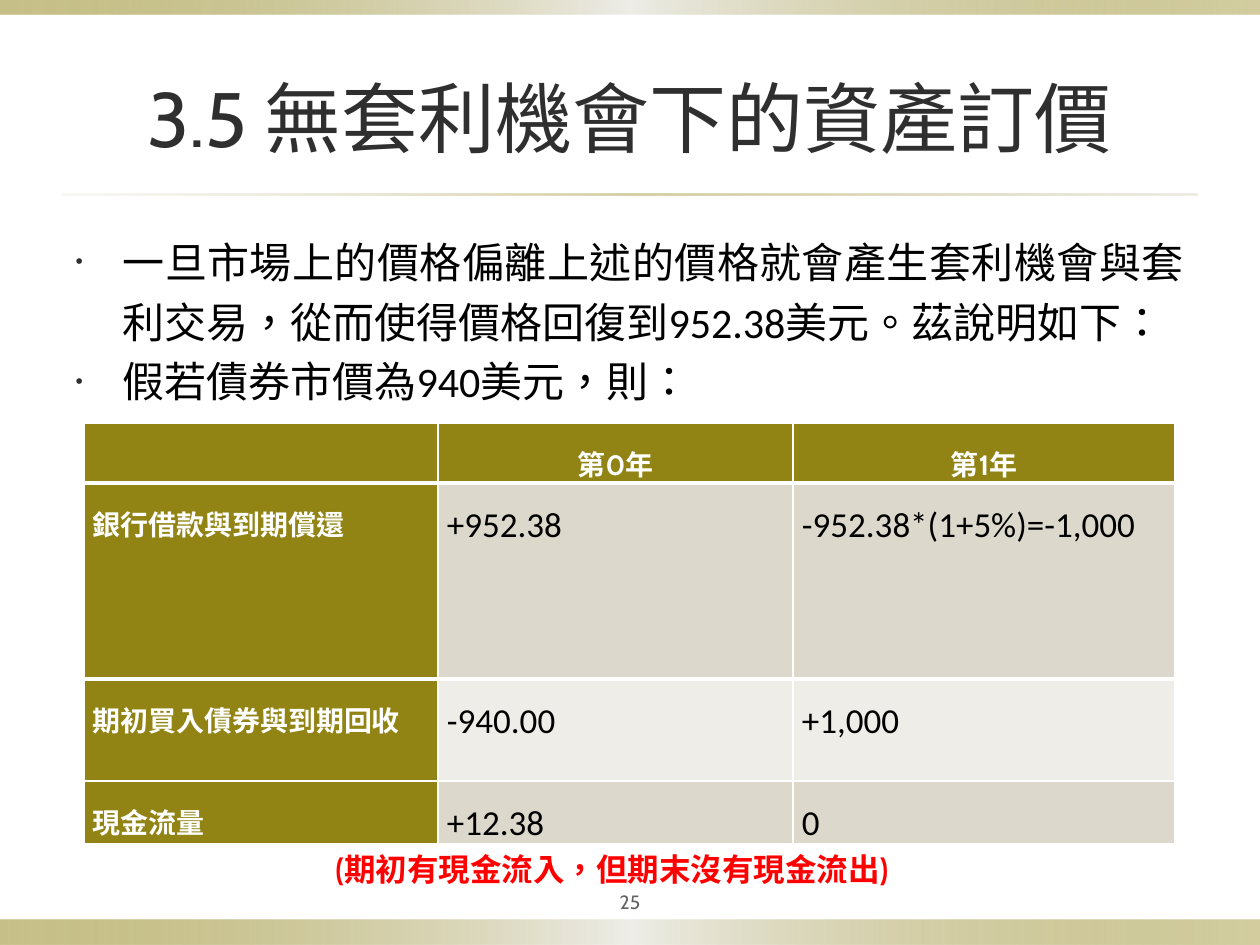
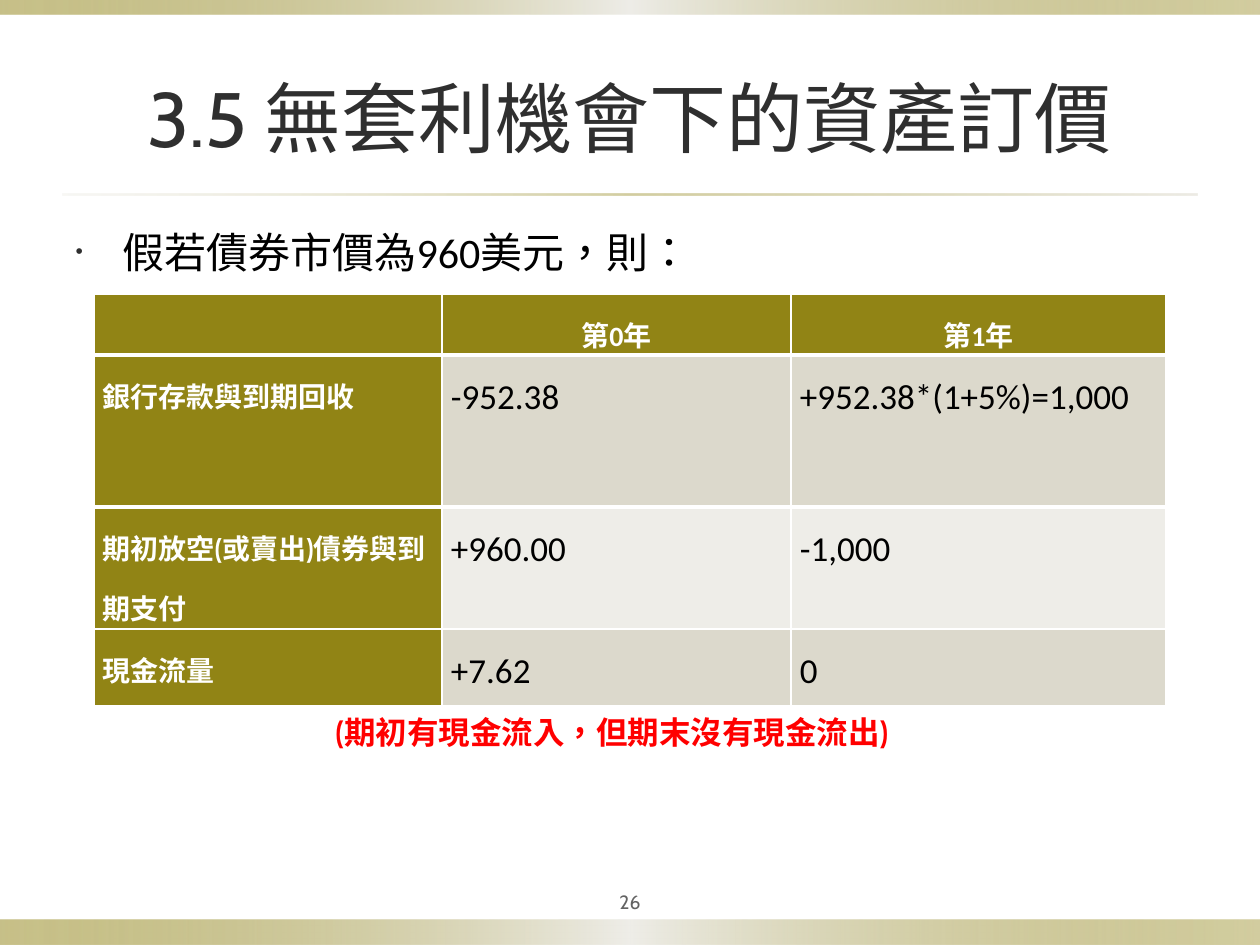
from lxml.etree import SubElement
from pptx import Presentation
from pptx.dml.color import RGBColor
from pptx.enum.shapes import MSO_SHAPE
from pptx.enum.text import MSO_ANCHOR, MSO_AUTO_SIZE, PP_ALIGN
from pptx.oxml import parse_xml
from pptx.oxml.ns import nsdecls, qn
from pptx.util import Emu, Pt

OLIVE, SAND, PALE, WHITE = "918415", "DCD9CC", "EEEDE8", "FFFFFF"
BLACK, CHARCOAL, GREY, RED = "000000", "2F2F2F", "636363", "FF0000"
HEADING_FONT, BODY_FONT = "Cabin", "Calibri"
LANGUAGE = "zh-TW"

TITLE = "3.5 無套利機會下的資產訂價"
CAPTION = "(期初有現金流入，但期末沒有現金流出)"
BAND_STOPS = [(0, OLIVE, 50), (50, PALE, 100), (100, OLIVE, 40)]
RULE_STOPS = [(0, SAND, 20), (50, OLIVE, 40), (100, SAND, 50)]
DECORATIONS = [
    ((0, 920, 1260, 25), BAND_STOPS),
    ((0, 0, 1260, 15), BAND_STOPS),
    ((63, 194, 1134, 2), RULE_STOPS),
]
SLIDES = [
    {
        "number": "25",
        "bullets": [
            [("一旦市場上的價格偏離上述的價格就會產生套利機會與套利交易，從而使得價格回復到", HEADING_FONT),
             ("952.38", BODY_FONT),
             ("美元。茲說明如下：", HEADING_FONT)],
            [("假若債券市價為940美元，則：", BODY_FONT)],
        ],
        "table": [
            ("", "第0年", "第1年"),
            ("銀行借款與到期償還", "+952.38", "-952.38*(1+5%)=-1,000"),
            ("期初買入債券與到期回收", "-940.00", "+1,000"),
            ("現金流量", "+12.38", "0"),
        ],
        "header_font": HEADING_FONT,
        "corner": (84, 423),
        "columns": (354, 355, 382),
        "rows": (60, 196, 102, 62),
        "caption_top": 844,
    },
    {
        "number": "26",
        "bullets": [[("假若債券市價為960美元，則：", BODY_FONT)]],
        "table": [
            ("", "第0年", "第1年"),
            ("銀行存款與到期回收", "-952.38", "+952.38*(1+5%)=1,000"),
            ("期初放空(或賣出)債券與到期支付", "+960.00", "-1,000"),
            ("現金流量", "+7.62", "0"),
        ],
        "header_font": BODY_FONT,
        "corner": (94, 294),
        "columns": (348, 349, 375),
        "rows": (61, 152, 122, 77),
        "caption_top": 707,
    },
]


def px(length):
    """Turn pixels into EMU."""
    return Emu(round(length * 914400 / 126))


def color(value):
    """Turn a hex string into a colour."""
    return RGBColor.from_string(value)


def place(shape, left, top, width, height):
    """Move and size a shape."""
    shape.left, shape.top, shape.width, shape.height = map(px, (left, top, width, height))


def style(font, name, size, value, bold=False):
    """Format the font of a paragraph or run."""
    font.name, font.size, font.bold = name, Pt(size), bold
    font.color.rgb = color(value)
    font._rPr.set("lang", LANGUAGE)


def style_text(paragraph, name, size, value, bold=False):
    """Format a paragraph and mark the language of its runs."""
    style(paragraph.font, name, size, value, bold)
    for run in paragraph.runs:
        run.font._rPr.set("lang", LANGUAGE)


def fill_gradient(shape, stops):
    """Give a shape a horizontal gradient with translucent stops."""
    stop_xml = "".join(
        f'<a:gs pos="{position * 1000}"><a:srgbClr val="{value}">'
        f'<a:alpha val="{alpha * 1000}"/></a:srgbClr></a:gs>'
        for position, value, alpha in stops)
    gradient = parse_xml(f'<a:gradFill {nsdecls("a")} rotWithShape="1"><a:gsLst>{stop_xml}'
                         '</a:gsLst><a:lin ang="0" scaled="0"/></a:gradFill>')
    shape.element.spPr.find(qn("a:prstGeom")).addnext(gradient)


def decorate_layout(layout, slide):
    """Draw the bands and the rule, then hand them to the shared layout."""
    for index, (box, stops) in enumerate(DECORATIONS):
        shape = slide.shapes.add_shape(MSO_SHAPE.RECTANGLE, *map(px, box))
        shape.shadow.inherit = False
        shape.line.fill.background()
        fill_gradient(shape, stops)
        shape.element.nvSpPr.cNvPr.set("id", str(100 + index))
        layout.shapes.element.insert(2 + index, shape.element)


def add_bullet(paragraph):
    """Give a paragraph a small hanging bullet."""
    properties = paragraph._p.get_or_add_pPr()
    properties.set("marL", str(px(47)))
    properties.set("indent", str(-px(47)))
    SubElement(SubElement(properties, qn("a:buClr")), qn("a:srgbClr")).set("val", CHARCOAL)
    SubElement(properties, qn("a:buSzPct")).set("val", "50000")
    SubElement(properties, qn("a:buFont")).set("typeface", "Arial")
    SubElement(properties, qn("a:buChar")).set("char", "•")


def write_title(shape):
    """Fill the title placeholder."""
    place(shape, 63, 38, 1134, 157)
    shape.text_frame.text = TITLE
    shape.text_frame.auto_size = MSO_AUTO_SIZE.NONE
    shape.text_frame.vertical_anchor = MSO_ANCHOR.MIDDLE
    paragraph = shape.text_frame.paragraphs[0]
    paragraph.alignment = PP_ALIGN.CENTER
    style_text(paragraph, HEADING_FONT, 44, CHARCOAL)


def write_bullets(shape, bullets):
    """Fill the body placeholder with bulleted paragraphs."""
    place(shape, 63, 220, 1134, 646)
    frame = shape.text_frame
    frame.auto_size = MSO_AUTO_SIZE.NONE
    for index, parts in enumerate(bullets):
        paragraph = frame.add_paragraph() if index else frame.paragraphs[0]
        add_bullet(paragraph)
        if len(parts) > 1:
            paragraph.alignment = PP_ALIGN.JUSTIFY
            paragraph.line_spacing = 1.2
        for text, font_name in parts:
            run = paragraph.add_run()
            run.text = text
            style(run.font, font_name, 24, BLACK)


def add_border(cell, side, points):
    """Draw a white border on one side of a cell."""
    border = parse_xml(f'<a:{side} {nsdecls("a")} w="{Pt(points)}"><a:solidFill>'
                       f'<a:srgbClr val="{WHITE}"/></a:solidFill></a:{side}>')
    cell._tc.get_or_add_tcPr().insert(0, border)


def add_cash_flow_table(slide, content):
    """Add the table of cash flows by year."""
    rows, columns = content["rows"], content["columns"]
    box = (*content["corner"], sum(columns), sum(rows))
    table = slide.shapes.add_table(len(rows), len(columns), *map(px, box)).table
    for column, width in zip(table.columns, columns):
        column.width = px(width)
    for row_index, (row, height) in enumerate(zip(table.rows, rows)):
        row.height = px(height)
        for column_index, cell in enumerate(row.cells):
            is_header = row_index == 0
            is_label = is_header or column_index == 0
            cell.margin_left = cell.margin_right = px(9)
            cell.margin_top = cell.margin_bottom = 0
            cell.fill.solid()
            band = SAND if row_index % 2 else PALE
            cell.fill.fore_color.rgb = color(OLIVE if is_label else band)
            if row_index < 2:
                add_border(cell, "lnB" if is_header else "lnT", 3)
            cell.text = content["table"][row_index][column_index]
            paragraph = cell.text_frame.paragraphs[0]
            paragraph.line_spacing = 1.5
            if is_header:
                paragraph.alignment = PP_ALIGN.CENTER
            if is_label:
                font_name = content["header_font"] if is_header else HEADING_FONT
                style_text(paragraph, font_name, 16, WHITE, True)
            else:
                style_text(paragraph, BODY_FONT, 20, BLACK)


def add_text(slide, box, text, size, value, bold=False):
    """Add a one-line text box and return its frame."""
    frame = slide.shapes.add_textbox(*map(px, box)).text_frame
    frame.word_wrap = True
    frame.text = text
    style_text(frame.paragraphs[0], HEADING_FONT, size, value, bold)
    return frame


def add_slide_number(slide, number):
    """Add the centred page number."""
    frame = add_text(slide, (567, 882, 126, 39), number, 11, GREY)
    frame.margin_left = frame.margin_right = frame.margin_top = frame.margin_bottom = px(6)
    frame.vertical_anchor = MSO_ANCHOR.MIDDLE
    frame.paragraphs[0].alignment = PP_ALIGN.CENTER


def main():
    """Build and save the presentation."""
    presentation = Presentation()
    presentation.slide_width, presentation.slide_height = px(1260), px(945)
    layout = presentation.slide_layouts[1]
    for index, content in enumerate(SLIDES):
        slide = presentation.slides.add_slide(layout)
        if index == 0:
            decorate_layout(layout, slide)
        write_title(slide.shapes.title)
        write_bullets(slide.placeholders[1], content["bullets"])
        add_slide_number(slide, content["number"])
        add_cash_flow_table(slide, content)
        add_text(slide, (323, content["caption_top"], 650, 50), CAPTION, 18, RED, True)
    presentation.save("out.pptx")


if __name__ == "__main__":
    main()
